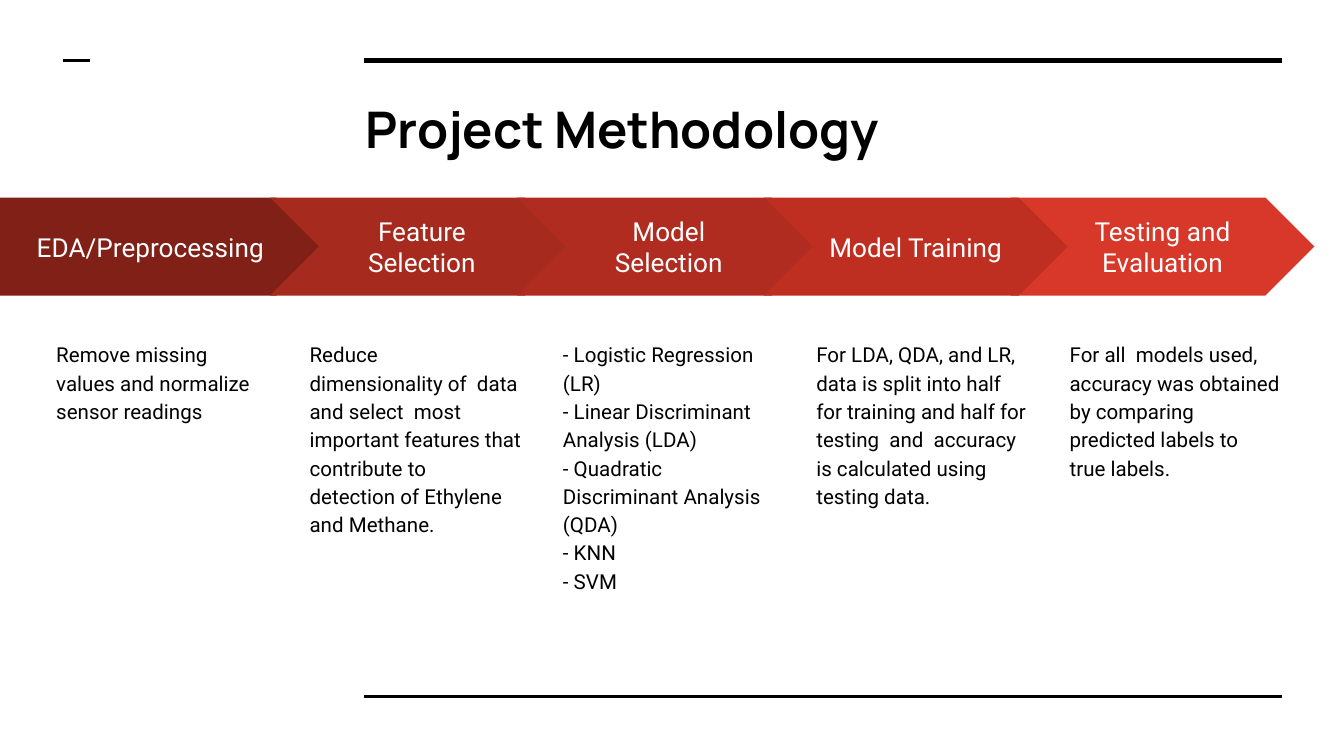
from pptx import Presentation
from pptx.dml.color import RGBColor
from pptx.enum.shapes import MSO_CONNECTOR as Connector, MSO_SHAPE as Shape
from pptx.enum.text import MSO_ANCHOR as Anchor, PP_ALIGN as Align
from pptx.oxml.xmlchemy import OxmlElement
from pptx.util import Inches, Pt

COLORS = {
    "ink": "000000",
    "label": "FFFFFF",
    "preprocessing": "802017",
    "features": "A72A1E",
    "models": "B02C20",
    "training": "BE2F22",
    "testing": "D83829",
}
TITLE_FONT = {"name": "Manrope", "size": Pt(27), "bold": True}
LABEL_FONT = {"name": "Roboto", "size": Pt(14)}
BODY_FONT = {"name": "Roboto", "size": Pt(11)}
RULES = [(2.71, 9.54, 0.45, 3), (2.71, 9.54, 5.18, 1.5), (0.47, 0.67, 0.45, 1.5)]

STAGES = [
    (0, "EDA/Preprocessing", "preprocessing",
     ["Remove missing values and normalize  sensor readings"]),
    (1, "Feature Selection", "features",
     ["Reduce\ndimensionality of  data and select  most important features "
      "that contribute to\ndetection of Ethylene and Methane."]),
    (2, "Model Selection", "models",
     ["- Logistic Regression (LR)",
      "- Linear Discriminant Analysis (LDA)\n"
      "- Quadratic Discriminant Analysis (QDA)\n- KNN\n- SVM"]),
    (4, "Testing and Evaluation", "testing",
     ["For all  models used,",
      "accuracy was obtained by comparing  predicted labels to  true labels."]),
    (3, "Model Training", "training",
     ["For LDA, QDA, and LR,  data is split into half for training and half for "
      "testing  and  accuracy is calculated using  testing data."]),
]


def color(name):
    """Return the named palette colour."""
    return RGBColor.from_string(COLORS[name])


def write_text(shape, lines, font, ink, anchor=Anchor.TOP, **paragraph_format):
    """Fill a shape with one formatted paragraph per line."""
    frame = shape.text_frame
    frame.word_wrap = True
    frame.vertical_anchor = anchor
    for side in ("left", "top", "right", "bottom"):
        setattr(frame, f"margin_{side}", Inches(0.1))
    for index, line in enumerate(lines):
        paragraph = frame.add_paragraph() if index else frame.paragraphs[0]
        paragraph.text = line
        for name, value in paragraph_format.items():
            setattr(paragraph, name, value)
        for run in paragraph.runs:
            for name, value in font.items():
                setattr(run.font, name, value)
            run.font.color.rgb = color(ink)


def add_text(slide, box, lines, font, **paragraph_format):
    """Add a wrapped text box."""
    shape = slide.shapes.add_textbox(*map(Inches, box))
    write_text(shape, lines, font, "ink", **paragraph_format)


def add_rule(slide, start, end, top, width):
    """Add a horizontal black line."""
    line = slide.shapes.add_connector(
        Connector.STRAIGHT, Inches(start), Inches(top), Inches(end), Inches(top))
    line.line.color.rgb = color("ink")
    line.line.width = Pt(width)
    line._element.spPr.append(OxmlElement("a:effectLst"))


def add_arrow(slide, kind, left, width, label, fill):
    """Add a labelled process arrow."""
    arrow = slide.shapes.add_shape(
        kind, Inches(left), Inches(1.47), Inches(width), Inches(0.73))
    arrow.shadow.inherit = False
    arrow.fill.solid()
    arrow.fill.fore_color.rgb = color(fill)
    arrow.line.fill.background()
    write_text(arrow, [label], LABEL_FONT, "label", Anchor.MIDDLE,
               alignment=Align.CENTER)


def add_stage(slide, column, label, fill, lines):
    """Add a stage arrow and the description below it."""
    if column == 0:
        add_arrow(slide, Shape.PENTAGON, 0, 2.42, label, fill)
    else:
        left = 2.01 + 5.51 / 3 * (column - 1)
        add_arrow(slide, Shape.CHEVRON, left, 2.26, label, fill)
    text_left = 0.32 + 7.54 / 4 * column
    add_text(slide, (text_left, 2.42, 1.78, 2.57), lines, BODY_FONT,
             line_spacing=1.15)


def main():
    """Build and save the project methodology slide."""
    presentation = Presentation()
    presentation.slide_width = Inches(10)
    presentation.slide_height = Inches(10 * 9 / 16)
    slide = presentation.slides.add_slide(presentation.slide_layouts[6])
    for rule in RULES:
        add_rule(slide, *rule)
    add_text(slide, (2.62, 0.63, 6.91, 0.69), ["Project Methodology"], TITLE_FONT)
    for stage in STAGES:
        add_stage(slide, *stage)
    presentation.save("out.pptx")


if __name__ == "__main__":
    main()
